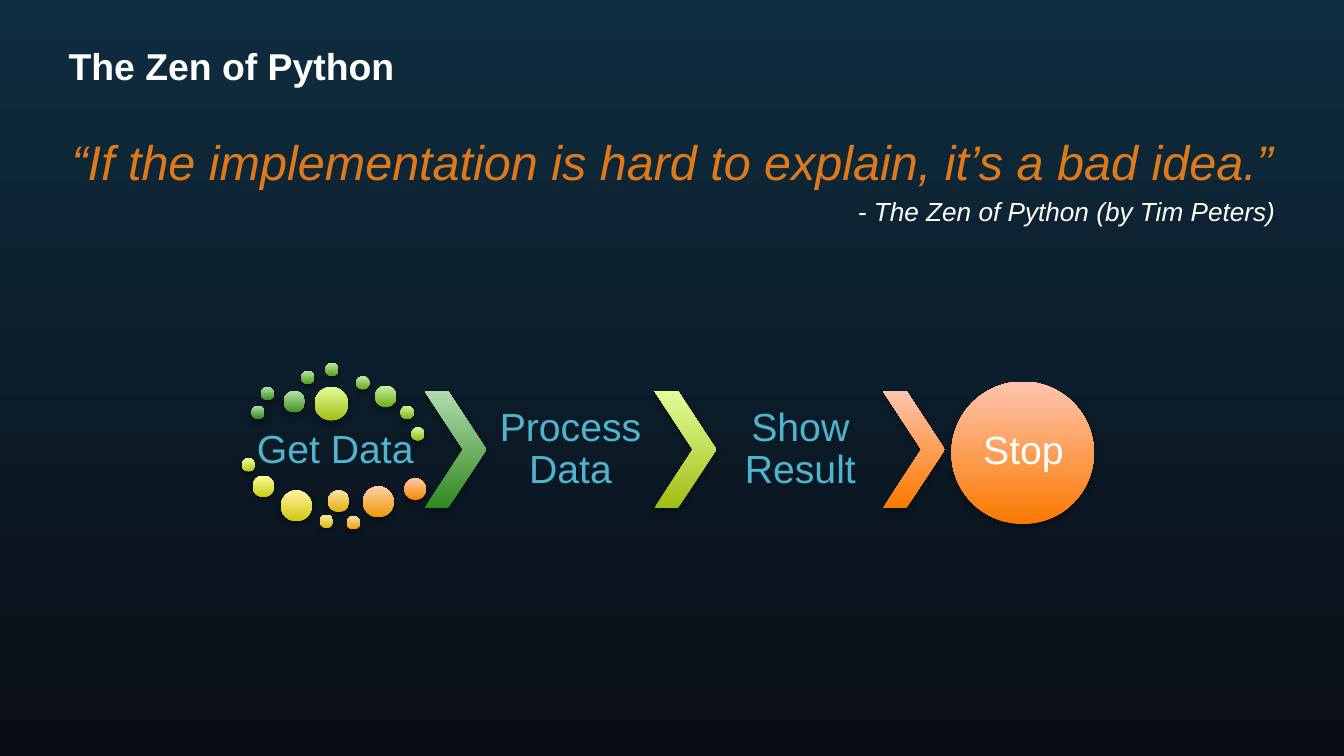
from dataclasses import dataclass
from typing import NamedTuple

from lxml.etree import SubElement
from pptx import Presentation
from pptx.dml.color import RGBColor
from pptx.enum.shapes import MSO_SHAPE as Shape
from pptx.enum.text import MSO_ANCHOR as Anchor, MSO_AUTO_SIZE as AutoSize, PP_ALIGN as Align
from pptx.oxml.ns import qn
from pptx.util import Emu, Pt

PX = 9144  # EMU per px, at 100 px to the inch


@dataclass(frozen=True)
class Theme:
    font: str = "Arial"
    white: str = "FFFFFF"
    quote: str = "DF7A1C"
    label: str = "50B3CF"
    backdrop: tuple[str, str] = ("0E2D3F", "0A0D16")
    green: tuple[str, str] = ("308820", "B1DCAD")
    lime: tuple[str, str] = ("A2BE13", "E3FD9A")
    orange: tuple[str, str] = ("FB7900", "FFC4AE")
    title_size: int = 20
    quote_size: int = 26
    source_size: int = 14
    label_size: int = 21


class Box(NamedTuple):
    left: int
    top: int
    width: int
    height: int

    def emu(self) -> list[Emu]:
        return [Emu(length * PX) for length in self]


class Dot(NamedTuple):
    left: int
    top: int
    size: int
    dark: str
    light: str


class Step(NamedTuple):
    text: str
    box: Box
    arrow_colors: tuple[str, str]


THEME = Theme()
TWO_PITCHES = 341  # from the first arrow to the third
ROW_TOP, ROW_HEIGHT = 291, 87
ARROW_LEFT, ARROW_WIDTH = 316, 46
LABEL_WIDTH = 125

SWIRL = [
    Dot(187, 302, 10, "308820", "B1DCAD"),
    Dot(194, 288, 10, "388E1F", "B2DFAC"),
    Dot(211, 291, 16, "41931E", "B4E2AA"),
    Dot(224, 276, 10, "4C991D", "B6E6A8"),
    Dot(242, 270, 10, "579F1B", "BAE9A6"),
    Dot(265, 280, 10, "64A51A", "BFEDA4"),
    Dot(279, 287, 16, "71AB19", "C5F1A2"),
    Dot(298, 302, 10, "80B117", "CDF59F"),
    Dot(306, 318, 10, "90B815", "D7F99D"),
    Dot(234, 288, 25, "A2BE13", "E3FD9A"),
    Dot(180, 341, 10, "B4C512", "F0FF9B"),
    Dot(188, 354, 16, "C9CB10", "FDFF9D"),
    Dot(209, 365, 23, "D2C60D", "FFF59F"),
    Dot(238, 383, 10, "D9BC0B", "FFEAA1"),
    Dot(244, 365, 16, "E0B209", "FFE0A4"),
    Dot(258, 384, 10, "E7A607", "FFD7A6"),
    Dot(270, 362, 23, "EE9804", "FFCFA9"),
    Dot(301, 356, 16, "F58901", "FFC9AB"),
]


def arrow_box(index: int) -> Box:
    left = ARROW_LEFT + (index * TWO_PITCHES + 1) // 2
    return Box(left, ROW_TOP, ARROW_WIDTH, ROW_HEIGHT)


def label_box(index: int) -> Box:
    """Place a label right after the previous step's arrow."""
    left = arrow_box(index - 1).left + ARROW_WIDTH
    return Box(left, ROW_TOP, LABEL_WIDTH, ROW_HEIGHT)


STEPS = [
    Step("Get Data", Box(187, 315, LABEL_WIDTH, 41), THEME.green),
    Step("Process Data", label_box(1), THEME.lime),
    Step("Show Result", label_box(2), THEME.orange),
]


def write(paragraph, text: str, *, size: int, color: str, bold: bool = False,
          italic: bool = False, align=Align.LEFT, line: float = 1.0, before: int = 0) -> None:
    paragraph.alignment = align
    paragraph.line_spacing = line
    paragraph.space_before = Pt(before)
    run = paragraph.add_run()
    run.text = text
    font = run.font
    font.name, font.size, font.bold, font.italic = THEME.font, Pt(size), bold, italic
    font.color.rgb = RGBColor.from_string(color)


def set_gradient(fill, colors: tuple[str, str], angle: int) -> None:
    fill.gradient()
    fill.gradient_angle = angle
    for stop, position, color in zip(fill.gradient_stops, (0, 1), colors):
        stop.position = position
        stop.color.rgb = RGBColor.from_string(color)


def add_glossy(slide, kind: Shape, box: Box, colors: tuple[str, str]):
    """Draw a shape that is dark at the foot, with a soft shadow below."""
    shape = slide.shapes.add_shape(kind, *box.emu())
    set_gradient(shape.fill, colors, 90)
    shape.line.fill.background()
    shape.shadow.inherit = False
    effects = shape._element.spPr.find(qn("a:effectLst"))
    shadow = SubElement(effects, qn("a:outerShdw"), blurRad="40000", dist="23000",
                        dir="5400000", rotWithShape="0")
    shade = SubElement(shadow, qn("a:srgbClr"), val="000000")
    SubElement(shade, qn("a:alpha"), val="35000")
    return shape


def add_label(slide, text: str, box: Box, color: str, inset: int) -> None:
    frame = slide.shapes.add_textbox(*box.emu()).text_frame
    frame.word_wrap = True
    frame.vertical_anchor = Anchor.MIDDLE
    frame.margin_left = frame.margin_right = Emu(inset * PX)
    frame.margin_top = frame.margin_bottom = Emu(inset * PX)
    write(frame.paragraphs[0], text, size=THEME.label_size, color=color,
          align=Align.CENTER, line=0.9)


def add_title(slide) -> None:
    title = slide.shapes.title
    title.left, title.top, title.width, title.height = Box(41, 27, 918, 50).emu()
    frame = title.text_frame
    frame.auto_size = AutoSize.NONE
    frame.vertical_anchor = Anchor.MIDDLE
    frame.margin_bottom = Emu(11 * PX)
    write(frame.paragraphs[0], "The Zen of Python", size=THEME.title_size,
          color=THEME.white, bold=True)


def add_quote(slide) -> None:
    frame = slide.shapes.add_textbox(*Box(42, 93, 917, 379).emu()).text_frame
    frame.word_wrap = True
    write(frame.paragraphs[0], "“If the implementation is hard to explain, it’s a bad idea.”",
          size=THEME.quote_size, color=THEME.quote, italic=True, align=Align.RIGHT, before=3)
    write(frame.add_paragraph(), "- The Zen of Python (by Tim Peters)",
          size=THEME.source_size, color=THEME.white, italic=True, align=Align.RIGHT, before=3)


def main() -> None:
    deck = Presentation()
    deck.slide_width = Emu(1000 * PX)
    deck.slide_height = Emu(deck.slide_width * 9 // 16)
    slide = deck.slides.add_slide(deck.slide_layouts[5])
    set_gradient(slide.background.fill, THEME.backdrop, 270)

    # Heading and quotation
    add_title(slide)
    add_quote(slide)

    # Swirl of dots around the first step
    for dot in SWIRL:
        add_glossy(slide, Shape.OVAL, Box(dot.left, dot.top, dot.size, dot.size),
                   (dot.dark, dot.light))

    # Steps, each followed by an arrow
    for index, step in enumerate(STEPS):
        add_label(slide, step.text, step.box, THEME.label, inset=3)
        arrow = add_glossy(slide, Shape.CHEVRON, arrow_box(index), step.arrow_colors)
        arrow.adjustments[0] = 0.62

    # Final step
    add_glossy(slide, Shape.OVAL, Box(708, 284, 106, 106), THEME.orange)
    add_label(slide, "Stop", Box(724, 299, 75, 75), THEME.white, inset=0)

    deck.save("out.pptx")


if __name__ == "__main__":
    main()
